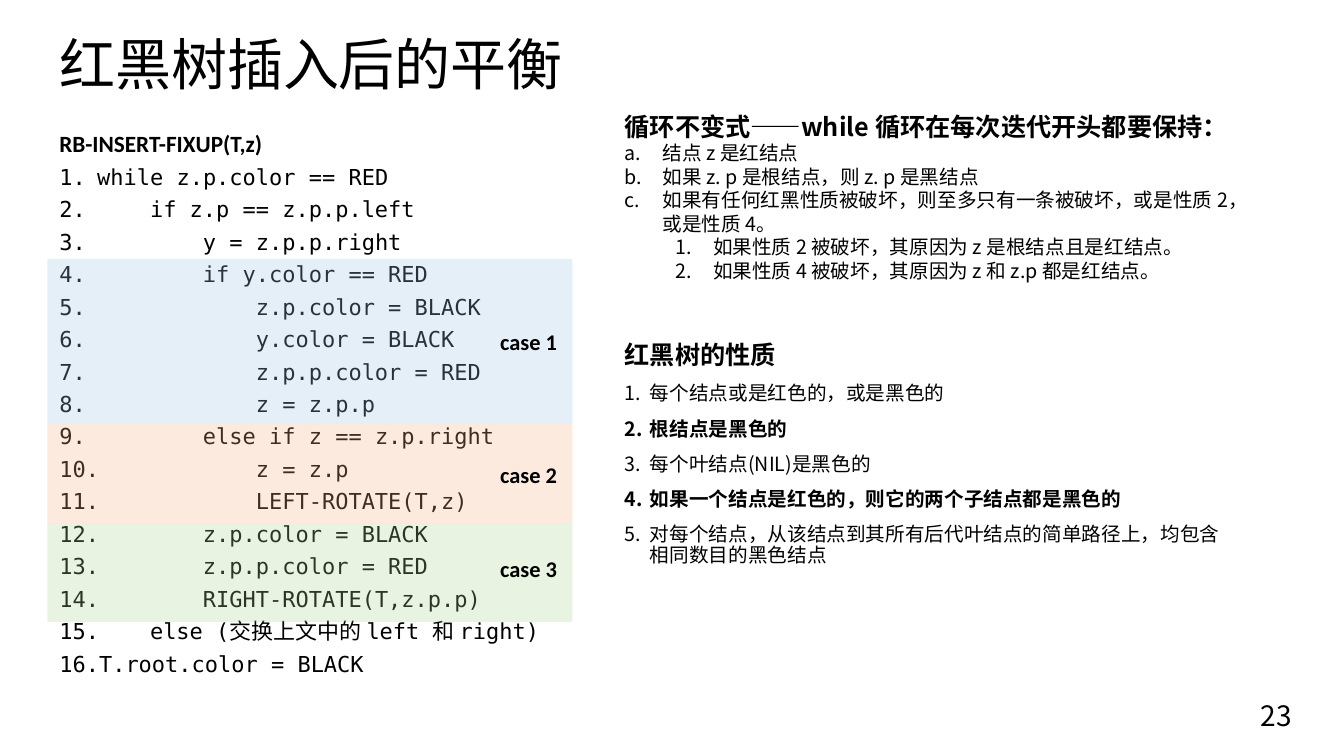
from lxml import etree
from pptx import Presentation
from pptx.dml.color import RGBColor
from pptx.enum.shapes import MSO_SHAPE
from pptx.enum.text import MSO_ANCHOR, PP_ALIGN
from pptx.oxml.ns import qn
from pptx.util import Pt

RECTANGLE = MSO_SHAPE.RECTANGLE
TOP, MIDDLE = MSO_ANCHOR.TOP, MSO_ANCHOR.MIDDLE
LEFT, RIGHT = PP_ALIGN.LEFT, PP_ALIGN.RIGHT

BLACK = RGBColor(0x00, 0x00, 0x00)
BLUE = RGBColor(0x9D, 0xC3, 0xE6)
ORANGE = RGBColor(0xF4, 0xB1, 0x83)
GREEN = RGBColor(0xA9, 0xD1, 0x8E)

CHINESE = "Noto Sans CJK SC"
LATIN = "Calibri"
MONO = "DejaVu Sans Mono"

CODE_SIZE = 15.7
CODE_STEP = 4 * 0.602 * CODE_SIZE
CODE_MARGIN = 27


def add_text_frame(left, top, width, height, anchor=TOP, wrap=True):
    box = slide.shapes.add_textbox(Pt(left), Pt(top), Pt(width), Pt(height))
    frame = box.text_frame
    frame.word_wrap = wrap
    frame.vertical_anchor = anchor
    return frame


def add_text(frame, text, size, font, bold=False, line=1.0, before=0,
             bullet=None, margin=0, hanging=0, level=0, align=LEFT):
    paragraph = frame.paragraphs[0]
    if paragraph.runs:
        paragraph = frame.add_paragraph()
    paragraph.alignment = align
    paragraph.level = level
    paragraph.line_spacing = line
    paragraph.space_before = Pt(before)
    if bullet:
        properties = paragraph._p.get_or_add_pPr()
        properties.set("marL", str(Pt(margin)))
        properties.set("indent", str(-Pt(hanging)))
        etree.SubElement(properties, qn("a:buFont"), typeface=font)
        etree.SubElement(properties, qn("a:buAutoNum"), type=bullet)
    run = paragraph.add_run()
    run.text = text
    run.font.size = Pt(size)
    run.font.name = font
    run.font.bold = bold
    run.font.color.rgb = BLACK
    etree.SubElement(run._r.get_or_add_rPr(), qn("a:ea"), typeface=CHINESE)


presentation = Presentation()
presentation.slide_width = Pt(960)
presentation.slide_height = Pt(540)
slide = presentation.slides.add_slide(presentation.slide_layouts[6])

code_lines = [
    (0, "while z.p.color == RED"),
    (1, "if z.p == z.p.p.left"),
    (2, "y = z.p.p.right"),
    (2, "if y.color == RED"),
    (3, "z.p.color = BLACK"),
    (3, "y.color = BLACK"),
    (3, "z.p.p.color = RED"),
    (3, "z = z.p.p"),
    (2, "else if z == z.p.right"),
    (3, "z = z.p"),
    (3, "LEFT-ROTATE(T,z)"),
    (2, "z.p.color = BLACK"),
    (2, "z.p.p.color = RED"),
    (2, "RIGHT-ROTATE(T,z.p.p)"),
    (1, "else (交换上文中的 left 和 right)"),
    (0, "T.root.color = BLACK"),
]
code = add_text_frame(35.3, 94.3, 375, 413)
add_text(code, "RB-INSERT-FIXUP(T,z)", 16.6, LATIN, bold=True, line=0.7, before=10)
for depth, text in code_lines:
    margin = CODE_MARGIN + depth * CODE_STEP
    add_text(code, text, CODE_SIZE, MONO, line=0.7, before=10,
             bullet="arabicPeriod", margin=margin, hanging=margin)

title = add_text_frame(35.3, -4.3, 880, 104.4, MIDDLE)
add_text(title, "红黑树插入后的平衡", 40, CHINESE, line=0.9)

page_number = add_text_frame(866, 496.8, 64, 28.8, MIDDLE)
add_text(page_number, "23", 20, CHINESE, align=RIGHT)

invariant = add_text_frame(439.2, 75.6, 459.4, 131)
add_text(invariant, "循环不变式——while 循环在每次迭代开头都要保持：", 18, CHINESE, bold=True)
for text in [
    "结点 z 是红结点",
    "如果 z. p 是根结点，则 z. p 是黑结点",
    "如果有任何红黑性质被破坏，则至多只有一条被破坏，或是性质 2，或是性质 4。",
]:
    add_text(invariant, text, 14, CHINESE, bullet="alphaLcPeriod", margin=27, hanging=27)
for text in [
    "如果性质 2 被破坏，其原因为 z 是根结点且是红结点。",
    "如果性质 4 被破坏，其原因为 z 和 z.p 都是红结点。",
]:
    add_text(invariant, text, 14, CHINESE, bullet="arabicPeriod",
             margin=63, hanging=27, level=1)

band_top = 185
for name, color, height, label_top in [
    ("case 1", BLUE, 118, 231),
    ("case 2", ORANGE, 70.6, 326.2),
    ("case 3", GREEN, 70.6, 393.1),
]:
    band = slide.shapes.add_shape(RECTANGLE, Pt(33.8), Pt(band_top), Pt(375), Pt(height))
    band.shadow.inherit = False
    band.line.fill.background()
    band.fill.solid()
    band.fill.fore_color.rgb = color
    color_element = band._element.spPr.find(qn("a:solidFill"))[0]
    etree.SubElement(color_element, qn("a:alpha"), val="26000")
    label = add_text_frame(350.2, label_top, 55.4, 26.6, wrap=False)
    add_text(label, name, 16, LATIN, bold=True)
    band_top += height

rules = add_text_frame(439.2, 241.2, 440, 178.6)
add_text(rules, "红黑树的性质", 18, CHINESE, bold=True, line=0.9, before=10)
for text, bold in [
    ("每个结点或是红色的，或是黑色的", False),
    ("根结点是黑色的", True),
    ("每个叶结点(NIL)是黑色的", False),
    ("如果一个结点是红色的，则它的两个子结点都是黑色的", True),
    ("对每个结点，从该结点到其所有后代叶结点的简单路径上，均包含相同数目的黑色结点", False),
]:
    add_text(rules, text, 14, CHINESE, bold=bold, line=0.9, before=10,
             bullet="arabicPeriod", margin=18, hanging=18)

presentation.save("out.pptx")
